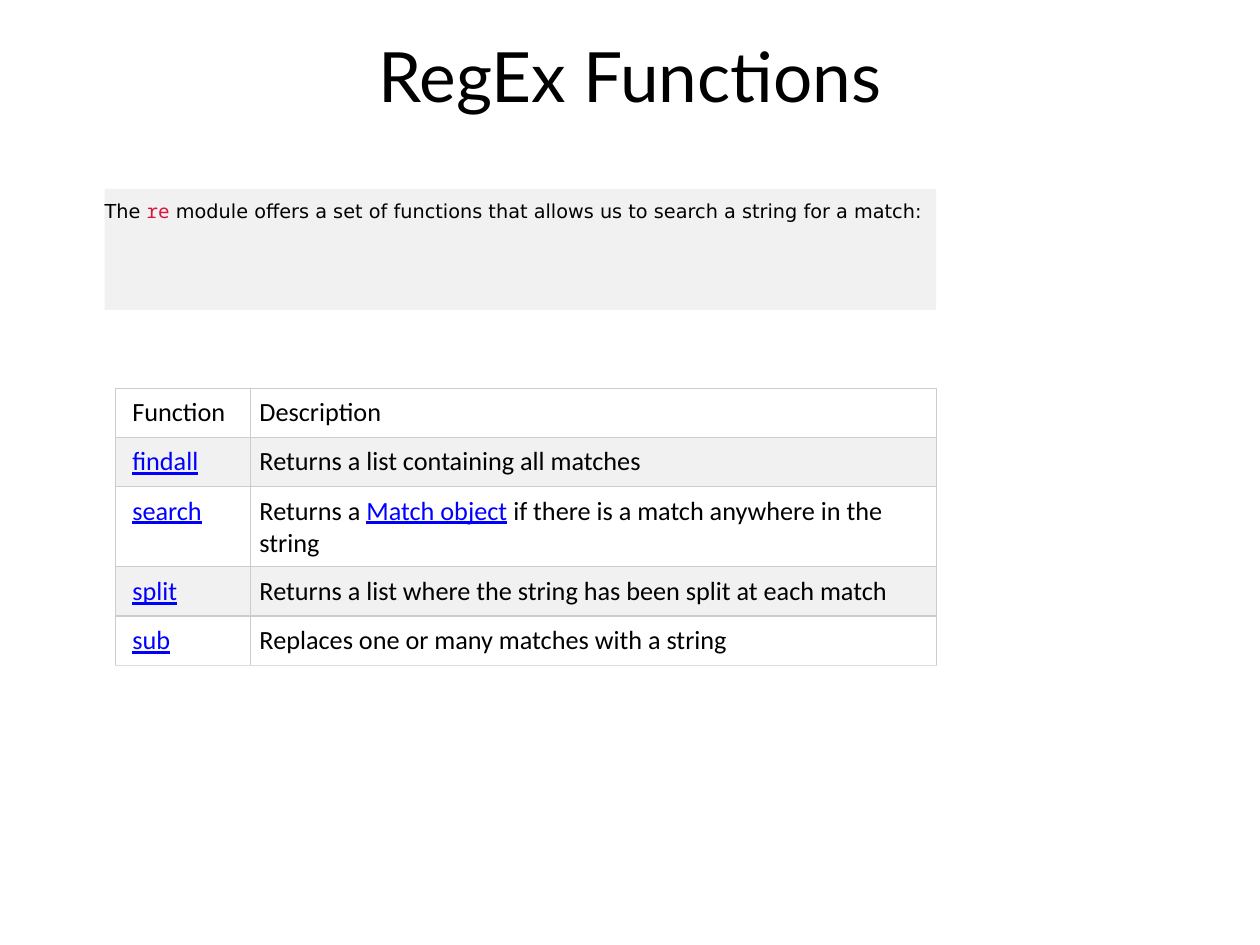
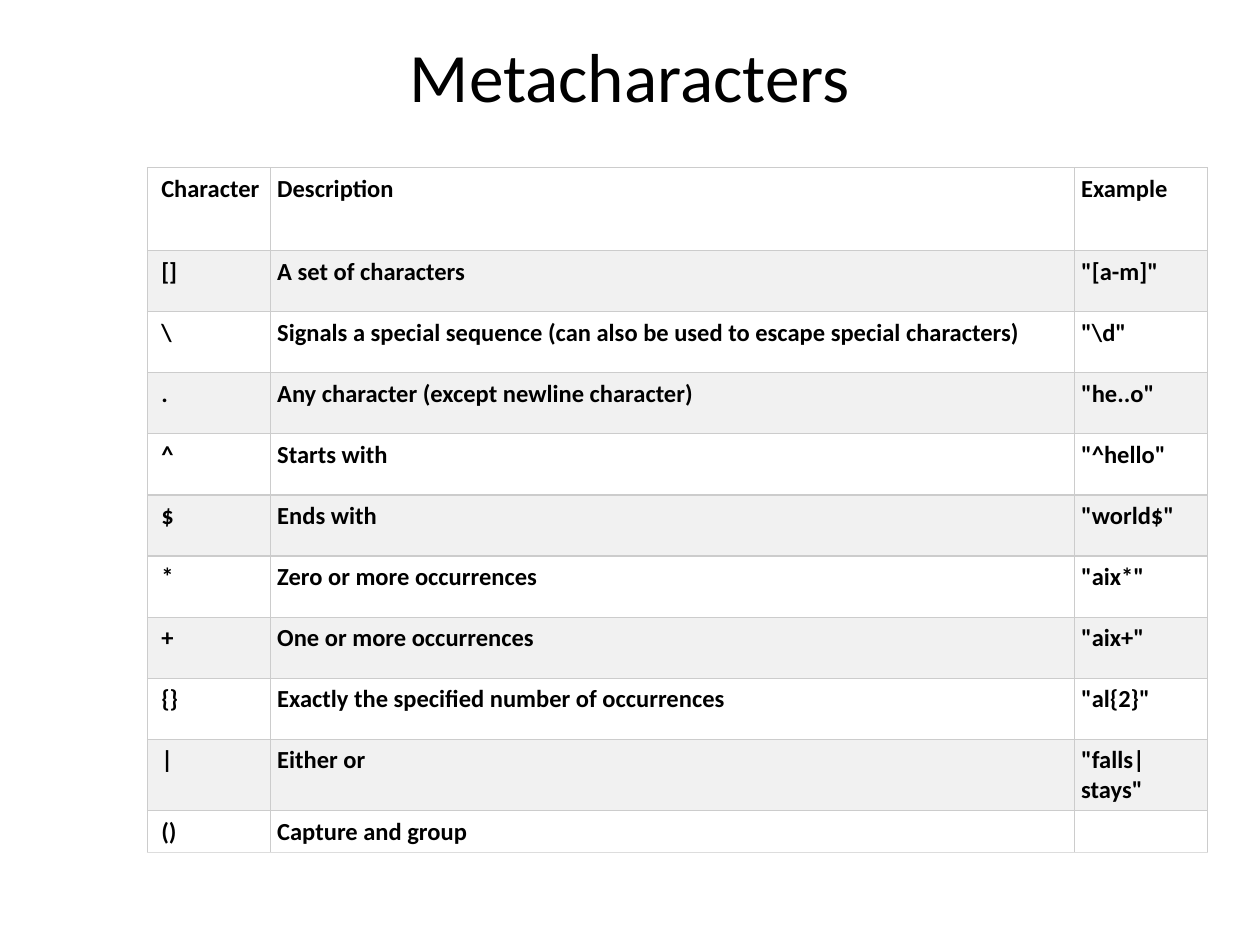
from dataclasses import dataclass

from lxml import etree
from pptx import Presentation
from pptx import util as u
from pptx.dml.color import RGBColor
from pptx.enum import shapes, text
from pptx.oxml import ns

SLIDE_WIDTH, SLIDE_HEIGHT = u.Inches(10), u.Inches(7.5)
COLUMN, ROW = SLIDE_WIDTH / 100, SLIDE_HEIGHT / 75

BLACK, WHITE, BAND = "000000", "FFFFFF", "F1F1F1"
LINK, CODE = "0000FF", "DC143C"
BORDER, LAST_BORDER = "CCCCCC", "DDDDDD"
BORDER_WIDTH = u.Pt(0.75)
BODY_FONT = "Calibri"


@dataclass(frozen=True)
class Box:
    left: float
    top: float
    width: float
    height: float

    def lengths(self) -> tuple[int, int, int, int]:
        return (columns(self.left), rows(self.top), columns(self.width), rows(self.height))


@dataclass(frozen=True)
class Span:
    words: str
    color: str = BLACK
    underline: bool = False
    font: str = ""


@dataclass(frozen=True)
class TextStyle:
    font: str
    size: float
    bold: bool = False


@dataclass(frozen=True)
class Grid:
    box: Box
    widths: list[float]
    heights: list[float]
    style: TextStyle
    first_inset: float
    inset: float
    records: list[tuple]


def columns(count: float) -> int:
    return round(count * COLUMN)


def rows(count: float) -> int:
    return round(count * ROW)


def rgb(color: str) -> RGBColor:
    return RGBColor.from_string(color)


def link(words: str) -> Span:
    return Span(words, LINK, True)


def write(paragraph, spans: list[Span], style: TextStyle) -> None:
    for span in spans:
        run = paragraph.add_run()
        run.text = span.words
        font = run.font
        font.name = span.font or style.font
        font.size = u.Pt(style.size)
        font.bold = style.bold
        font.underline = span.underline
        font.color.rgb = rgb(span.color)


def as_spans(content) -> list[Span]:
    if isinstance(content, str):
        return [Span(content)] if content else []
    return [content] if isinstance(content, Span) else content


def add_title(slide, words: str, font: str) -> None:
    shape = slide.shapes.add_textbox(*Box(5, 3, 90, 12.5).lengths())
    frame = shape.text_frame
    frame.word_wrap = True
    frame.vertical_anchor = text.MSO_ANCHOR.MIDDLE
    frame.margin_top, frame.margin_bottom = 0, rows(6.6)
    paragraph = frame.paragraphs[0]
    paragraph.alignment = text.PP_ALIGN.CENTER
    write(paragraph, [Span(words)], TextStyle(font, 39.6))


def add_note(slide, box: Box, spans: list[Span], style: TextStyle) -> None:
    shape = slide.shapes.add_shape(shapes.MSO_SHAPE.RECTANGLE, *box.lengths())
    shape.shadow.inherit = False
    shape.fill.solid()
    shape.fill.fore_color.rgb = rgb(BAND)
    shape.line.fill.background()
    frame = shape.text_frame
    frame.word_wrap = True
    frame.vertical_anchor = text.MSO_ANCHOR.TOP
    frame.margin_left = frame.margin_right = 0
    frame.margin_top = frame.margin_bottom = rows(0.8)
    paragraph = frame.paragraphs[0]
    paragraph.alignment = text.PP_ALIGN.LEFT
    write(paragraph, spans, style)


def add_borders(cell, bottom: str) -> None:
    properties = cell._tc.get_or_add_tcPr()
    for side, color in zip("LRTB", (BORDER, BORDER, BORDER, bottom)):
        line = etree.SubElement(properties, ns.qn(f"a:ln{side}"), w=str(BORDER_WIDTH))
        fill = etree.SubElement(line, ns.qn("a:solidFill"))
        etree.SubElement(fill, ns.qn("a:srgbClr"), val=color)


def add_grid(slide, grid: Grid) -> None:
    table = slide.shapes.add_table(
        len(grid.heights), len(grid.widths), *grid.box.lengths()
    ).table
    table.first_row = table.horz_banding = False
    for column, width in zip(table.columns, grid.widths):
        column.width = columns(width)
    for row, height in zip(table.rows, grid.heights):
        row.height = rows(height)

    last = len(grid.records) - 1
    for row_index, record in enumerate(grid.records):
        for column_index, content in enumerate(record):
            cell = table.cell(row_index, column_index)
            cell.margin_left = columns(grid.inset if column_index else grid.first_inset)
            cell.margin_right = columns(grid.inset)
            cell.margin_top = cell.margin_bottom = rows(grid.inset)
            add_borders(cell, LAST_BORDER if row_index == last else BORDER)
            cell.fill.solid()
            cell.fill.fore_color.rgb = rgb(BAND if row_index % 2 else WHITE)
            paragraph = cell.text_frame.paragraphs[0]
            spans = as_spans(content)
            write(paragraph, spans, grid.style)
            if not spans:
                size = str(round(grid.style.size * 100))
                etree.SubElement(paragraph._p, ns.qn("a:endParaRPr"), sz=size)


FUNCTIONS = Grid(
    box=Box(9.2, 30.8, 65.2, 21.7),
    widths=[10.7, 54.4],
    heights=[3.8] * 5,
    style=TextStyle(BODY_FONT, 15),
    first_inset=1.3,
    inset=0.7,
    records=[
        ("Function", "Description"),
        (link("findall"), "Returns a list containing all matches"),
        (
            link("search"),
            [
                Span("Returns a "),
                link("Match object"),
                Span(" if there is a match anywhere in the string"),
            ],
        ),
        (link("split"), "Returns a list where the string has been split at each match"),
        (link("sub"), "Replaces one or many matches with a string"),
    ],
)

METACHARACTERS = Grid(
    box=Box(11.7, 13.3, 84.2, 54.4),
    widths=[9.8, 63.8, 10.5],
    heights=[6.6] + [4.85] * 9 + [2.9],
    style=TextStyle(BODY_FONT, 14, True),
    first_inset=1.1,
    inset=0.5,
    records=[
        ("Character", "Description", "Example"),
        ("[]", "A set of characters", '"[a-m]"'),
        (
            "\\",
            "Signals a special sequence (can also be used to escape special characters)",
            '"\\d"',
        ),
        (".", "Any character (except newline character)", '"he..o"'),
        ("^", "Starts with", '"^hello"'),
        ("$", "Ends with", '"world$"'),
        ("*", "Zero or more occurrences", '"aix*"'),
        ("+", "One or more occurrences", '"aix+"'),
        ("{}", "Exactly the specified number of occurrences", '"al{2}"'),
        ("|", "Either or", '"falls|stays"'),
        ("()", "Capture and group", ""),
    ],
)


def main() -> None:
    presentation = Presentation()
    presentation.slide_width, presentation.slide_height = SLIDE_WIDTH, SLIDE_HEIGHT
    blank = presentation.slide_layouts[6]

    functions_slide = presentation.slides.add_slide(blank)
    add_title(functions_slide, "RegEx Functions", "Lato")
    add_grid(functions_slide, FUNCTIONS)
    add_note(
        functions_slide,
        Box(8.3, 15, 66, 9.6),
        [
            Span("The "),
            Span("re", CODE, font="Noto Sans Mono"),
            Span(" module offers a set of functions that allows us to search a string for a match:"),
        ],
        TextStyle("DejaVu Sans", 11),
    )

    metacharacters_slide = presentation.slides.add_slide(blank)
    add_title(metacharacters_slide, "Metacharacters", BODY_FONT)
    add_grid(metacharacters_slide, METACHARACTERS)

    presentation.save("out.pptx")


if __name__ == "__main__":
    main()
